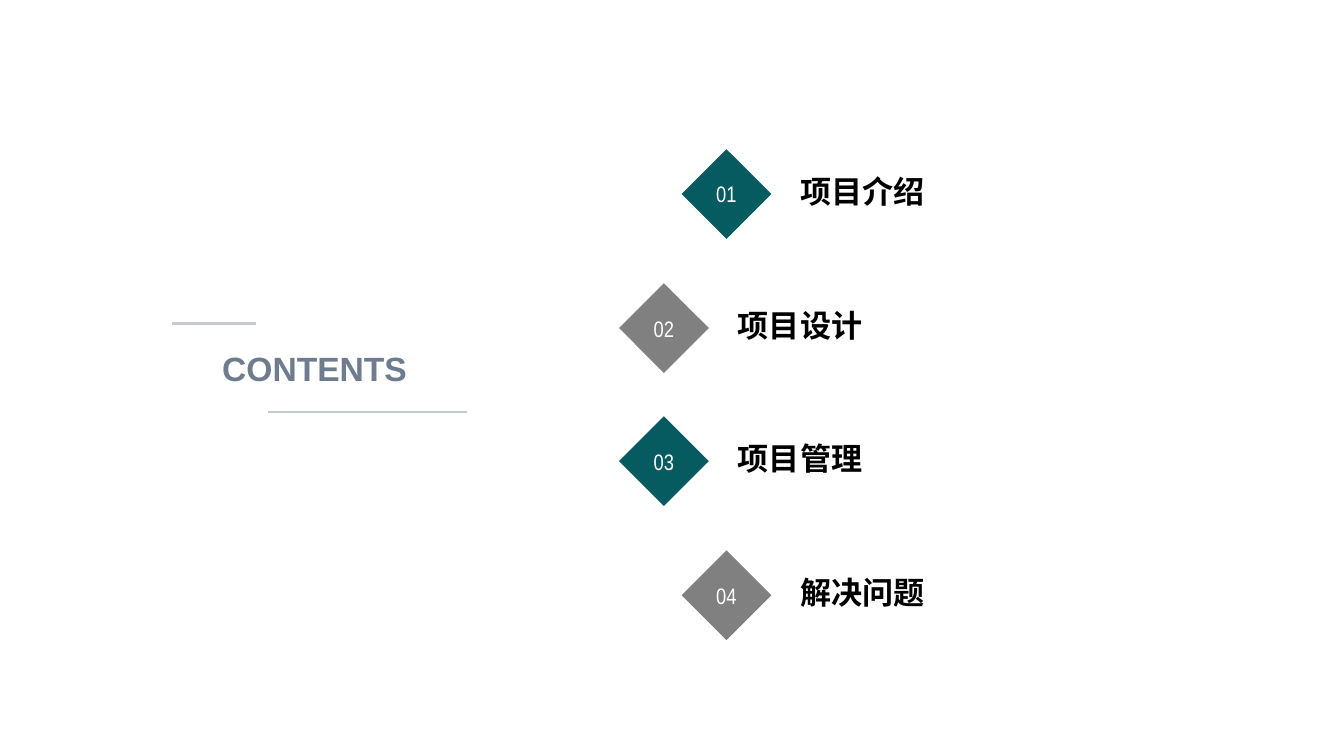
from dataclasses import dataclass

from pptx import Presentation
from pptx.dml.color import RGBColor as RGB
from pptx.enum.shapes import MSO_CONNECTOR as CONN, MSO_SHAPE as SHAPE
from pptx.enum.text import MSO_ANCHOR as ANCHOR, MSO_AUTO_SIZE as FIT, PP_ALIGN as ALIGN
from pptx.oxml.ns import qn
from pptx.util import Emu, Pt
from lxml.etree import SubElement

PX = 9144


@dataclass(frozen=True)
class Theme:
    teal: str = "055B5F"
    grey: str = "808080"
    slate: str = "6F7B8E"
    rule: str = "C5CAD2"
    white: str = "FFFFFF"
    black: str = "000000"
    font: str = "Arial"
    number_font: str = "Arial Narrow"
    title_size: float = 24
    item_size: float = 22.2
    number_size: float = 16
    rule_width: float = 1.75


def px(*lengths):
    return [Emu(n * PX) for n in lengths]


class SlideBuilder:
    def __init__(self, prs, theme):
        self.theme = theme
        self.s = prs.slides.add_slide(prs.slide_layouts.get_by_name("Title Only"))

    def set_text(self, sp, text, color, size, font, bold=False, align=ALIGN.LEFT,
                 anchor=ANCHOR.MIDDLE, wrap=True):
        tf = sp.text_frame
        frame = {"auto_size": FIT.NONE, "word_wrap": wrap, "vertical_anchor": anchor}
        for name, value in frame.items():
            setattr(tf, name, value)
        p = tf.paragraphs[0]
        p.alignment = align
        r = p.add_run()
        r.text = text
        for name, value in {"name": font, "size": Pt(size), "bold": bold}.items():
            setattr(r.font, name, value)
        r.font.color.rgb = RGB.from_string(color)

    def title(self, text, x, y, w, h):
        sp = self.s.shapes.title
        box = dict(zip(("left", "top", "width", "height"), px(x, y, w, h)))
        for name, value in box.items():
            setattr(sp, name, value)
        t = self.theme
        self.set_text(sp, text, t.slate, t.title_size, t.font, True, ALIGN.CENTER)

    def rule(self, x1, x2, y):
        line = self.s.shapes.add_connector(CONN.STRAIGHT, *px(x1, y, x2, y))
        line.line.color.rgb = RGB.from_string(self.theme.rule)
        line.line.width = Pt(self.theme.rule_width)
        SubElement(line._element.spPr, qn("a:effectLst"))

    def diamond(self, number, color, x, y, size):
        sp = self.s.shapes.add_shape(SHAPE.DIAMOND, *px(x, y, size, size))
        sp.shadow.inherit = False
        sp.fill.solid()
        sp.fill.fore_color.rgb = RGB.from_string(color)
        sp.line.fill.background()
        t = self.theme
        self.set_text(sp, number, t.white, t.number_size, t.number_font,
                      align=ALIGN.CENTER, wrap=False)

    def label(self, text, x, y, w, h):
        sp = self.s.shapes.add_textbox(*px(x, y, w, h))
        t = self.theme
        self.set_text(sp, text, t.black, t.item_size, t.font, True, anchor=ANCHOR.BOTTOM)


def main():
    prs = Presentation()
    prs.slide_width, prs.slide_height = px(1333, 750)
    theme = Theme()
    slide = SlideBuilder(prs, theme)

    slide.title("CONTENTS", 203, 336, 218, 58)
    slide.rule(254, 171, 321)
    slide.rule(266, 463, 409)

    outer, inner = 676, 614
    top, pitch_x3 = 148, 398
    items = [("项目介绍", outer), ("项目设计", inner),
             ("项目管理", inner), ("解决问题", outer)]
    for i, (text, x) in enumerate(items):
        y = top + round(i * pitch_x3 / 3)
        color = theme.grey if i % 2 else theme.teal
        slide.diamond(f"{i + 1:02}", color, x, y, 89)
        slide.label(text, x + 108, y + 25, 390, 40)

    prs.save("out.pptx")


if __name__ == "__main__":
    main()
